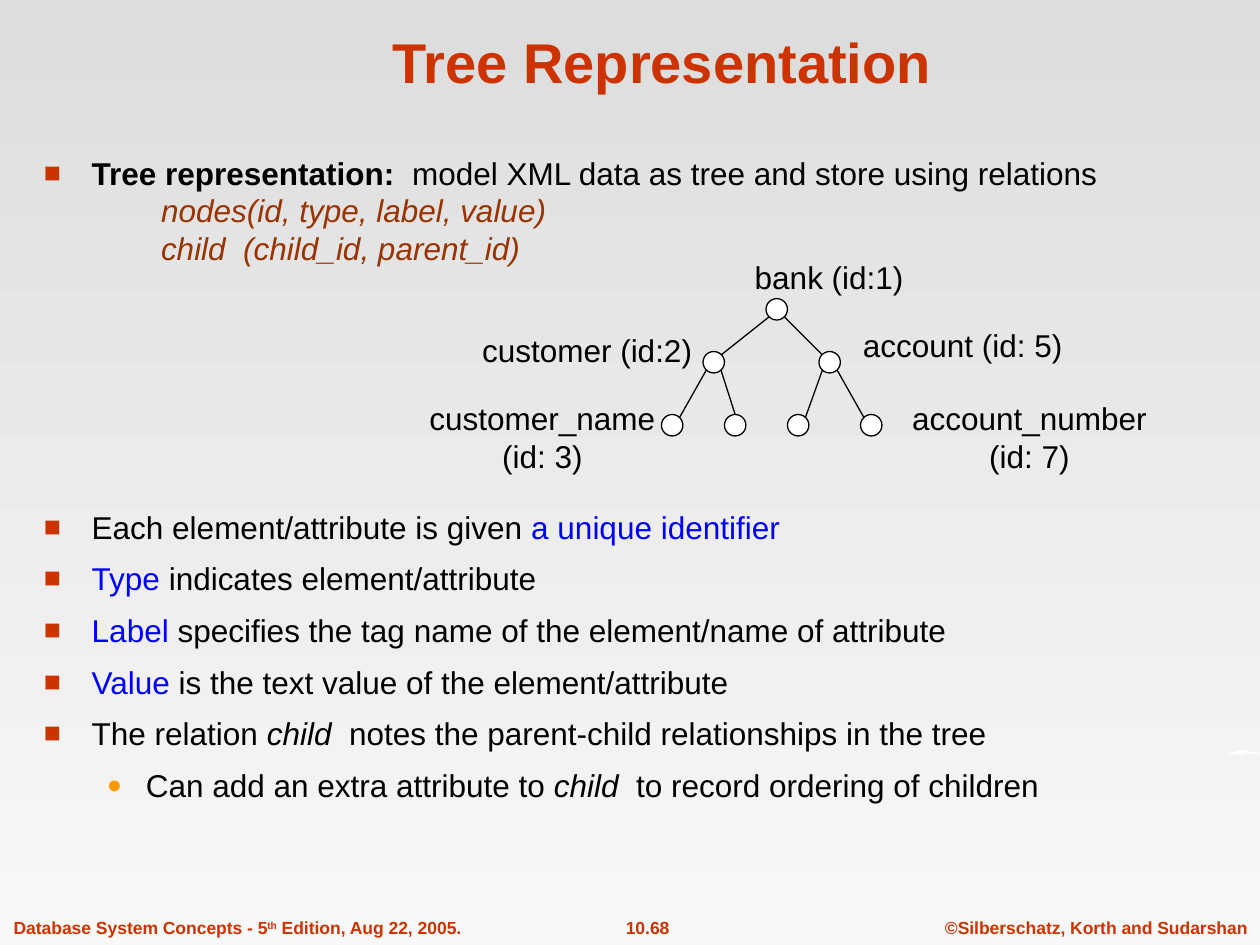
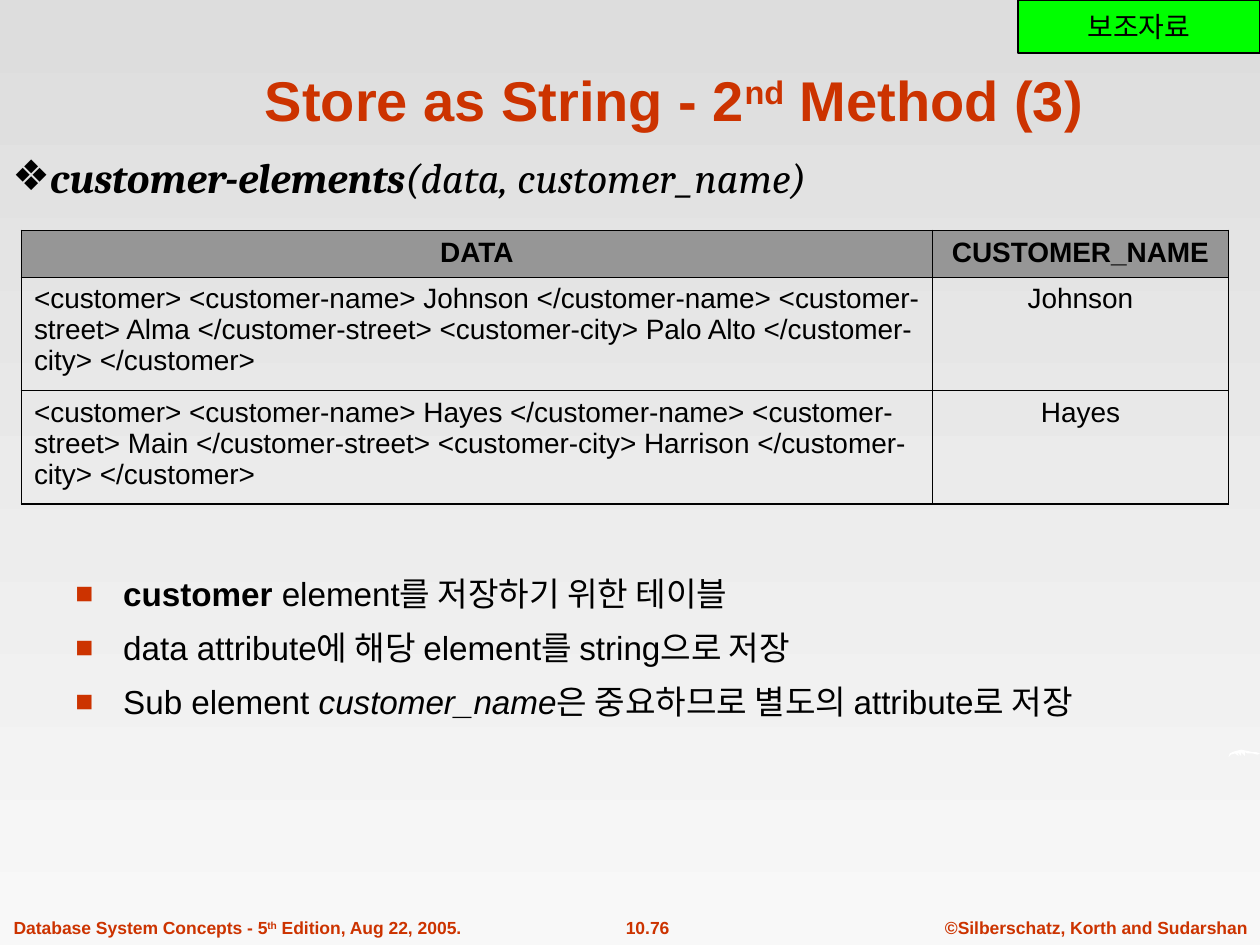
import pptx
import pptx.dml.color
import pptx.enum.shapes
import pptx.enum.text
import pptx.oxml.ns
import pptx.util
from lxml import etree
from pptx.util import Inches

RED, BLACK, WHITE = "CC3300", "000000", "FFFFFF"
BLUE, BROWN, ORANGE = "0000FF", "993300", "FF9900"
GREEN, GREY = "00FF00", "969696"
SKY_TOP, SKY_BOTTOM = "DDDDDD", "F8F8F8"
ALIGN = pptx.enum.text.PP_ALIGN
ANCHOR = pptx.enum.text.MSO_ANCHOR
SHAPE = pptx.enum.shapes.MSO_SHAPE

SQUARE = dict(char="■", color=RED, percent=90, left=0.38, hanging=0.38)
DOT = dict(char="●", color=ORANGE, percent=80, left=0.81, hanging=0.31)
DIAMOND = dict(char="❖", color=BLACK, percent=100, left=0.27, hanging=0.27)
INDENTED = dict(left=0.93, hanging=0)

SWOOSH = [
    (9.75, 6.01), (9.76, 5.98), (9.78, 5.97), (9.81, 5.96), (9.85, 5.95),
    (9.9, 5.96), (9.94, 5.97), (9.97, 5.97), (10, 5.98), (9.98, 5.99),
    (9.94, 5.98), (9.9, 5.98), (9.88, 5.97), (9.88, 6), (9.85, 5.97),
    (9.85, 6), (9.82, 5.97), (9.83, 6), (9.8, 5.98), (9.77, 5.99),
]

NODE_SIZE = 0.17
NODES = {
    "bank": (6.08, 2.37),
    "customer": (5.58, 2.79),
    "account": (6.5, 2.79),
    "customer name": (5.25, 3.29),
    "customer detail": (5.75, 3.29),
    "account detail": (6.25, 3.29),
    "account number": (6.83, 3.29),
}
EDGES = [
    ("bank", "customer"), ("bank", "account"),
    ("customer", "customer name"), ("customer", "customer detail"),
    ("account", "account detail"), ("account", "account number"),
]
NODE_LABELS = [
    (["bank (id:1)"], (5.84, 2, 1.48, 0.4)),
    (["customer (id:2)"], (3.68, 2.58, 1.96, 0.4)),
    (["account (id: 5)"], (6.7, 2.54, 1.88, 0.4)),
    (["customer_name", "(id: 3)"], (3.26, 3.12, 2.09, 0.7)),
    (["account_number", "(id: 7)"], (7.09, 3.12, 2.16, 0.7)),
]

CUSTOMER_ROWS = [
    ("DATA", "CUSTOMER_NAME"),
    ("<customer> <customer-name> Johnson </customer-name> <customer-street> Alma "
     "</customer-street> <customer-city> Palo Alto </customer-city> </customer>", "Johnson"),
    ("<customer> <customer-name> Hayes </customer-name> <customer-street> Main "
     "</customer-street> <customer-city> Harrison </customer-city> </customer>", "Hayes"),
]


def rgb(value):
    return pptx.dml.color.RGBColor.from_string(value)


def inches(values):
    return [Inches(value) for value in values]


def add_xml(parent, tag, **attributes):
    return etree.SubElement(parent, pptx.oxml.ns.qn(tag), attributes)


def add_run(paragraph, text, size=18, color=BLACK, bold=False, italic=False,
            font="Arial", superscript=False):
    run = paragraph.add_run()
    run.text = text
    run.font.name = font
    run.font.size = pptx.util.Pt(size)
    run.font.bold = bold
    run.font.italic = italic
    run.font.color.rgb = rgb(color)
    if superscript:
        run.font._element.set("baseline", "30000")


def set_bullet(paragraph, left, hanging, char=None, color=None, percent=None):
    """Indent a paragraph and, if a character is given, put it in front."""
    properties = paragraph._p.get_or_add_pPr()
    properties.set("marL", str(Inches(left)))
    properties.set("indent", str(-Inches(hanging)))
    if char:
        add_xml(add_xml(properties, "a:buClr"), "a:srgbClr", val=color)
        add_xml(properties, "a:buSzPct", val=str(percent * 1000))
        add_xml(properties, "a:buFont", typeface="Arial")
        add_xml(properties, "a:buChar", char=char)


def fill_frame(frame, paragraphs, align=ALIGN.LEFT, bullets=(), space=0, **style):
    """Write paragraphs; each is a string or a list of strings and (string, format) pairs."""
    for index, runs in enumerate(paragraphs):
        paragraph = frame.paragraphs[0] if index == 0 else frame.add_paragraph()
        if bullets:
            set_bullet(paragraph, **bullets[index])
        paragraph.alignment = align
        if index and space:
            paragraph.space_before = pptx.util.Pt(space)
        for run in [runs] if isinstance(runs, str) else runs:
            text, changes = (run, {}) if isinstance(run, str) else run
            add_run(paragraph, text, **{**style, **changes})


def add_text(slide, box, paragraphs, wrap=True, anchor=ANCHOR.TOP, **style):
    frame = slide.shapes.add_textbox(*inches(box)).text_frame
    frame.word_wrap = wrap
    if not wrap:
        frame.auto_size = pptx.enum.text.MSO_AUTO_SIZE.SHAPE_TO_FIT_TEXT
    frame.vertical_anchor = anchor
    fill_frame(frame, paragraphs, **style)


def paint(shape, fill, line=BLACK):
    shape.shadow.inherit = False
    shape.fill.solid()
    shape.fill.fore_color.rgb = rgb(fill)
    if line:
        shape.line.color.rgb = rgb(line)
        shape.line.width = pptx.util.Pt(0.75)
    else:
        shape.line.fill.background()


def add_shape(slide, kind, box, fill):
    shape = slide.shapes.add_shape(kind, *inches(box))
    paint(shape, fill)
    return shape


def add_line(slide, start, end):
    line = slide.shapes.add_connector(
        pptx.enum.shapes.MSO_CONNECTOR.STRAIGHT, *inches(start + end))
    line.line.color.rgb = rgb(BLACK)
    line.line.width = pptx.util.Pt(0.75)
    add_xml(line._element.spPr, "a:effectLst")


def add_swoosh(slide):
    first, *others = [tuple(inches(point)) for point in SWOOSH]
    builder = slide.shapes.build_freeform(*first)
    builder.add_line_segments(others, close=True)
    paint(builder.convert_to_shape(), WHITE, line=None)


def set_background(master):
    fill = master.background.fill
    fill.gradient()
    fill.gradient_angle = 270
    for stop, color, position in zip(fill.gradient_stops, (SKY_TOP, SKY_BOTTOM), (0, 1)):
        stop.color.rgb = rgb(color)
        stop.position = position


def start_slide(deck, title, title_box, number):
    """Add a slide with its footers, swoosh and title."""
    slide = deck.slides.add_slide(deck.slide_layouts[6])
    footer = dict(size=10, color=RED, bold=True)
    add_text(slide, (7.4, 7.23, 2.6, 0.27), ["©Silberschatz, Korth and Sudarshan"],
             wrap=False, align=ALIGN.CENTER, **footer)
    add_text(slide, (4.61, 7.23, 1.06, 0.27), [number], align=ALIGN.CENTER, **footer)
    edition = ["Database System Concepts - 5", ("th", dict(superscript=True)),
               " Edition, Aug 22, 2005."]
    add_text(slide, (0.01, 7.23, 3.86, 0.27), [edition], **footer)
    add_swoosh(slide)
    add_text(slide, title_box, [title], anchor=ANCHOR.BOTTOM, align=ALIGN.CENTER,
             size=32, color=RED, bold=True)
    return slide


def add_edge(slide, parent, child):
    """Join the facing corners of two nodes, or the child's top if it is nearly below."""
    (parent_x, parent_y), (child_x, child_y) = NODES[parent], NODES[child]
    near, far = 0.03, NODE_SIZE - 0.03
    step = child_x - parent_x
    start = (parent_x + (far if step > 0 else near), parent_y + far)
    if abs(step) < 0.2:
        end = (child_x + NODE_SIZE / 2, child_y)
    else:
        end = (child_x + (near if step > 0 else far), child_y + near)
    add_line(slide, start, end)


def add_tree(slide):
    for parent, child in EDGES:
        add_edge(slide, parent, child)
    for x, y in NODES.values():
        add_shape(slide, SHAPE.OVAL, (x, y, NODE_SIZE, NODE_SIZE), WHITE)
    for lines, box in NODE_LABELS:
        add_text(slide, box, lines, wrap=False, align=ALIGN.CENTER)


def set_borders(cell, **widths):
    properties = cell._tc.get_or_add_tcPr()
    for side in "LRTB":
        border = add_xml(properties, "a:ln" + side,
                         w=str(pptx.util.Pt(widths.get(side, 1.08))))
        add_xml(add_xml(border, "a:solidFill"), "a:srgbClr", val=BLACK)


def add_customer_table(slide):
    last = len(CUSTOMER_ROWS) - 1
    table = slide.shapes.add_table(
        last + 1, 2, *inches((0.17, 1.83, 9.58, 2.18))).table
    table.first_row = table.horz_banding = False
    for column, width in zip(table.columns, (7.23, 2.35)):
        column.width = Inches(width)
    for r, texts in enumerate(CUSTOMER_ROWS):
        table.rows[r].height = Inches(0.9 if r else 0.37)
        for c, text in enumerate(texts):
            cell = table.cell(r, c)
            set_borders(cell, T=0.45 if r else 1.08, B=1.08 if r == last else 0.45)
            if r:
                cell.fill.background()
            else:
                cell.fill.solid()
                cell.fill.fore_color.rgb = rgb(GREY)
            fill_frame(cell.text_frame, [text], size=16, bold=r == 0,
                       align=ALIGN.LEFT if r and c == 0 else ALIGN.CENTER)


def build_tree_slide(deck):
    slide = start_slide(deck, "Tree Representation", (0.84, 0.13, 8.83, 0.67), "10.68")
    bold, italic = dict(bold=True), dict(italic=True)
    blue, schema = dict(color=BLUE), dict(color=BROWN, italic=True)
    add_text(slide, (0.25, 1.17, 9.5, 1), [
        [("Tree representation:  ", bold), "model XML data as tree and store using relations"],
        [("nodes(id, type, label, value)", schema)],
        [("child  (child_id, parent_id)", schema)],
    ], bullets=[SQUARE, INDENTED, INDENTED])
    add_tree(slide)
    add_text(slide, (0.25, 3.98, 9.5, 2.97), [
        ["Each element/attribute is given ", ("a unique identifier", blue)],
        [("Type ", blue), "indicates element/attribute"],
        [("Label ", blue), "specifies the tag name of the element/name of attribute"],
        [("Value", blue), " is the text value of the element/attribute"],
        ["The relation ", ("child ", italic),
         " notes the parent-child relationships in the tree"],
        ["Can add an extra attribute to ", ("child ", italic),
         " to record ordering of children"],
    ], bullets=[SQUARE] * 5 + [DOT], space=7.9)


def build_string_slide(deck):
    title = ["Store as String - 2", ("nd", dict(superscript=True)), " Method (3)"]
    slide = start_slide(deck, title, (1.53, 0.16, 7.64, 0.94), "10.76")
    add_text(slide, (0.5, 4.5, 8.67, 2.42), [
        [("customer", dict(bold=True)), " element를 저장하기 위한 테이블"],
        "data attribute에 해당 element를 string으로 저장",
        ["Sub element ", ("customer_name", dict(italic=True)),
         "은 중요하므로 별도의 attribute로 저장"],
    ], bullets=[SQUARE] * 3, space=8.2, size=19)
    add_customer_table(slide)
    add_text(slide, (0, 1.15, 7.28, 0.5),
             [[("customer-elements", dict(bold=True)), "(data, customer_name)"]],
             bullets=[DIAMOND], size=24, font="Cambria", italic=True)
    tag = add_shape(slide, SHAPE.RECTANGLE, (8.08, 0, 1.92, 0.42), GREEN)
    tag.text_frame.vertical_anchor = ANCHOR.MIDDLE
    fill_frame(tag.text_frame, ["보조자료"], align=ALIGN.CENTER, size=16)


def main():
    deck = pptx.Presentation()
    deck.slide_width, deck.slide_height = inches((10, 7.5))
    set_background(deck.slide_master)
    build_tree_slide(deck)
    build_string_slide(deck)
    deck.save("out.pptx")


if __name__ == "__main__":
    main()
